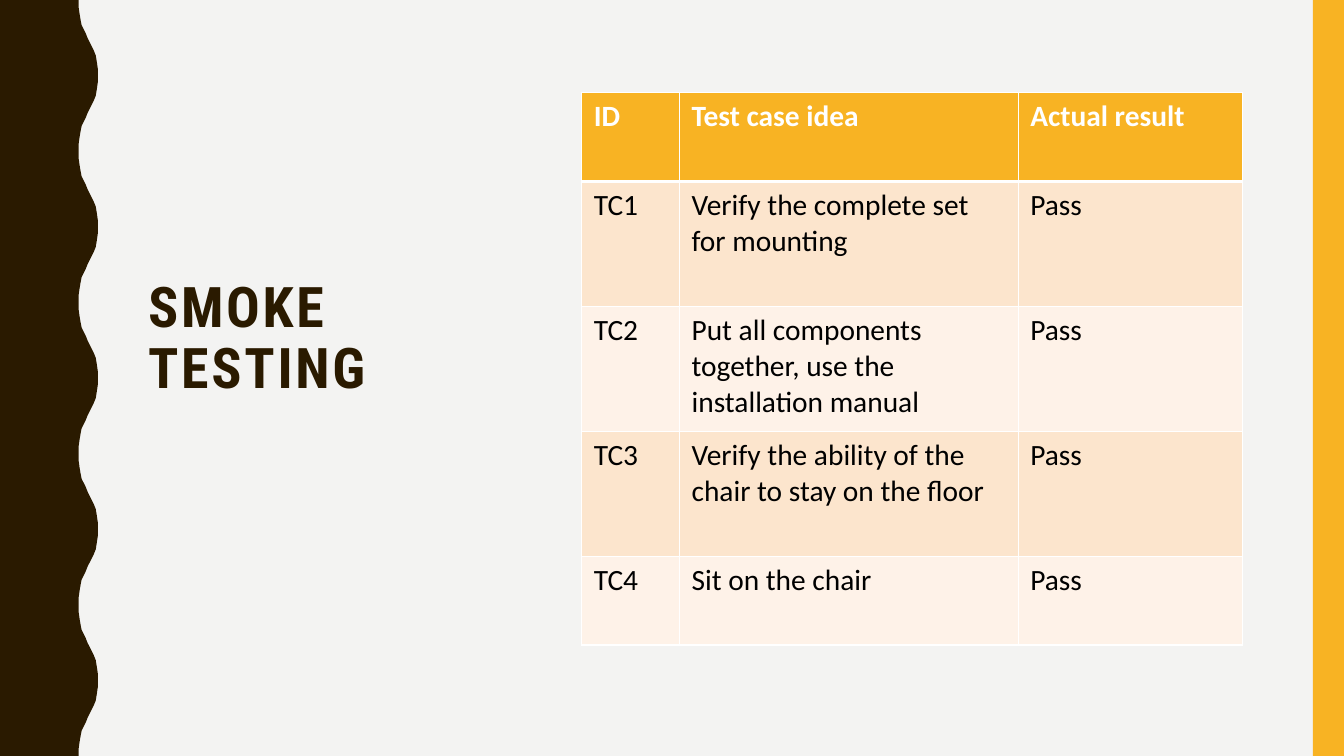
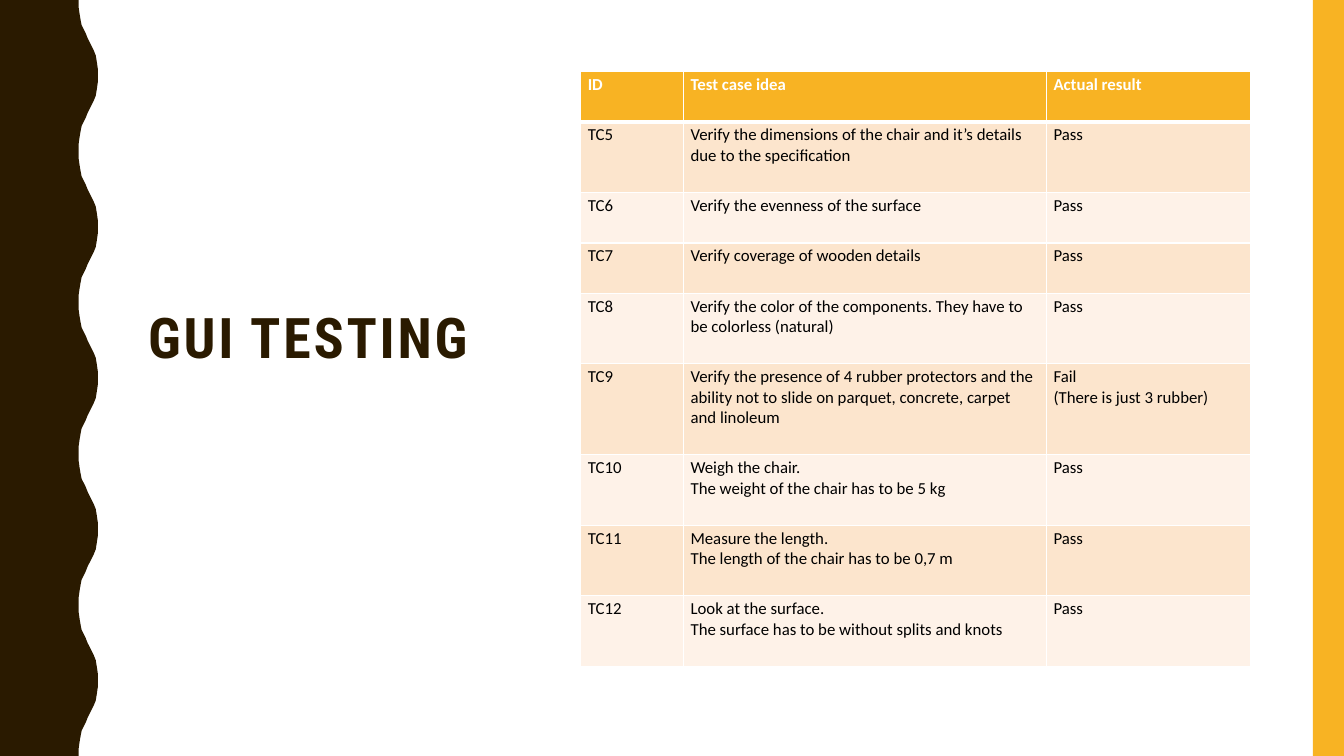
"""Build two test report slides with a wavy side band and a results table."""
from lxml import etree
from pptx import Presentation
from pptx.dml.color import RGBColor
from pptx.enum import shapes, text
from pptx.oxml import ns
from pptx.util import Inches, Pt

BROWN = RGBColor(0x2A, 0x1A, 0x00)
AMBER = RGBColor(0xF8, 0xB3, 0x23)
PEACH = RGBColor(0xFC, 0xE5, 0xCD)
CREAM = RGBColor(0xFE, 0xF2, 0xE8)
PAPER = RGBColor(0xF3, 0xF3, 0xF2)
WHITE = RGBColor(0xFF, 0xFF, 0xFF)
BLACK = RGBColor(0x00, 0x00, 0x00)
TITLE_FONT, TABLE_FONT = "Roboto Condensed", "Calibri"
WIDTH, HEIGHT = 13.33, 7.5

WAVE_COUNT, WAVE_PERIOD = 5, 1.5
WAVE_RISE = [(0.78, 0), (0.78, 0.07), (0.79, 0.14), (0.8, 0.2), (0.81, 0.25),
             (0.83, 0.29), (0.85, 0.33), (0.87, 0.38), (0.89, 0.42), (0.91, 0.46),
             (0.93, 0.5), (0.95, 0.55), (0.96, 0.61), (0.97, 0.68), (0.97, 0.75)]

HEADER = ("ID", "Test case idea", "Actual result")
SLIDES = [
    {"title": "SMOKE TESTING", "background": PAPER, "at": (5.77, 0.92),
     "columns": (0.97, 3.36, 2.22), "heights": (0.88, 1.24, 1.24, 1.24, 0.88),
     "size": 21, "inset": (0.12, 0.06),
     "cases": [
         ("TC1", "Verify the complete set for mounting", "Pass"),
         ("TC2", "Put all components together, use the installation manual", "Pass"),
         ("TC3", "Verify the ability of the chair to stay on the floor", "Pass"),
         ("TC4", "Sit on the chair", "Pass"),
     ]},
    {"title": "GUI TESTING", "background": WHITE, "at": (5.76, 0.71),
     "columns": (1.02, 3.6, 2.02),
     "heights": (0.5, 0.7, 0.5, 0.5, 0.7, 0.9, 0.7, 0.7, 0.7),
     "size": 12, "inset": (0.07, 0.03),
     "cases": [
         ("TC5", "Verify the dimensions of the chair and it’s details due to the specification",
          "Pass"),
         ("TC6", "Verify the evenness of the surface", "Pass"),
         ("TC7", "Verify coverage of wooden details", "Pass"),
         ("TC8", "Verify the color of the components. They have to be colorless (natural)",
          "Pass"),
         ("TC9", "Verify the presence of 4 rubber protectors and the ability not to slide on "
          "parquet, concrete, carpet and linoleum", "Fail\n(There is just 3 rubber)"),
         ("TC10", "Weigh the chair.\nThe weight of the chair has to be 5 kg", "Pass"),
         ("TC11", "Measure the length.\nThe length of the chair has to be 0,7 m", "Pass"),
         ("TC12", "Look at the surface.\nThe surface has to be without splits and knots",
          "Pass"),
     ]},
]


def write(frame, words, *, font, size, color, bold=False, spacing=None, tracking=None):
    frame.word_wrap = True
    for index, line in enumerate(words.split("\n")):
        para = frame.add_paragraph() if index else frame.paragraphs[0]
        para.line_spacing = spacing
        span = para.add_run()
        span.text = line
        span.font.name, span.font.size, span.font.bold = font, Pt(size), bold
        span.font.color.rgb = color
        if tracking:
            span.font._element.set("spc", str(tracking * 100))


def paint(shape, color):
    shape.fill.solid()
    shape.fill.fore_color.rgb = color
    shape.line.fill.background()
    shape.shadow.inherit = False


def add_bands(page):
    points = []
    for wave in range(WAVE_COUNT):
        top = wave * WAVE_PERIOD
        points += [(x, top + y) for x, y in WAVE_RISE]
        points += [(x, top + WAVE_PERIOD - y) for x, y in reversed(WAVE_RISE[:-1])]
    points.append((0, HEIGHT))
    outline = page.shapes.build_freeform(0, 0)
    outline.add_line_segments([(Inches(x), Inches(y)) for x, y in points], close=True)
    paint(outline.convert_to_shape(), BROWN)
    stripe = page.shapes.add_shape(shapes.MSO_SHAPE.RECTANGLE, Inches(13.02), 0,
                                   Inches(0.31), Inches(HEIGHT))
    paint(stripe, AMBER)


def add_title(page, words):
    box = page.shapes.add_textbox(Inches(1.37), Inches(0.71), Inches(3.7), Inches(5.93))
    frame = box.text_frame
    frame.vertical_anchor = text.MSO_ANCHOR.MIDDLE
    frame.margin_bottom = Inches(0.65)
    write(frame, words, font=TITLE_FONT, size=40, color=BROWN, bold=True,
          spacing=0.9, tracking=2)


def add_borders(cell, **widths):
    properties = cell._tc.get_or_add_tcPr()
    for side in "LRTB":
        line = etree.SubElement(properties, ns.qn(f"a:ln{side}"), w=str(Pt(widths.get(side, 1))))
        fill = etree.SubElement(line, ns.qn("a:solidFill"))
        etree.SubElement(fill, ns.qn("a:srgbClr"), val=str(WHITE))


def add_results(page, slide):
    rows = [HEADER, *slide["cases"]]
    columns, heights = slide["columns"], slide["heights"]
    left, top = slide["at"]
    table = page.shapes.add_table(len(rows), len(columns), Inches(left), Inches(top),
                                  Inches(sum(columns)), Inches(sum(heights))).table
    table.horz_banding = False
    for column, width in zip(table.columns, columns):
        column.width = Inches(width)
    for row, height in zip(table.rows, heights):
        row.height = Inches(height)
    side, edge = (Inches(inset) for inset in slide["inset"])
    for r, row in enumerate(rows):
        heading = r == 0
        shade = AMBER if heading else PEACH if r % 2 else CREAM
        for c, words in enumerate(row):
            cell = table.cell(r, c)
            cell.margin_left = cell.margin_right = side
            cell.margin_top = cell.margin_bottom = edge
            add_borders(cell, T=3 if r == 1 else 1, B=3 if heading else 1)
            cell.fill.solid()
            cell.fill.fore_color.rgb = shade
            write(cell.text_frame, words, font=TABLE_FONT, size=slide["size"],
                  color=WHITE if heading else BLACK, bold=heading)


def main():
    deck = Presentation()
    deck.slide_width, deck.slide_height = Inches(WIDTH), Inches(HEIGHT)
    for slide in SLIDES:
        page = deck.slides.add_slide(deck.slide_layouts[6])
        page.background.fill.solid()
        page.background.fill.fore_color.rgb = slide["background"]
        add_bands(page)
        add_title(page, slide["title"])
        add_results(page, slide)
    deck.save("out.pptx")


if __name__ == "__main__":
    main()
